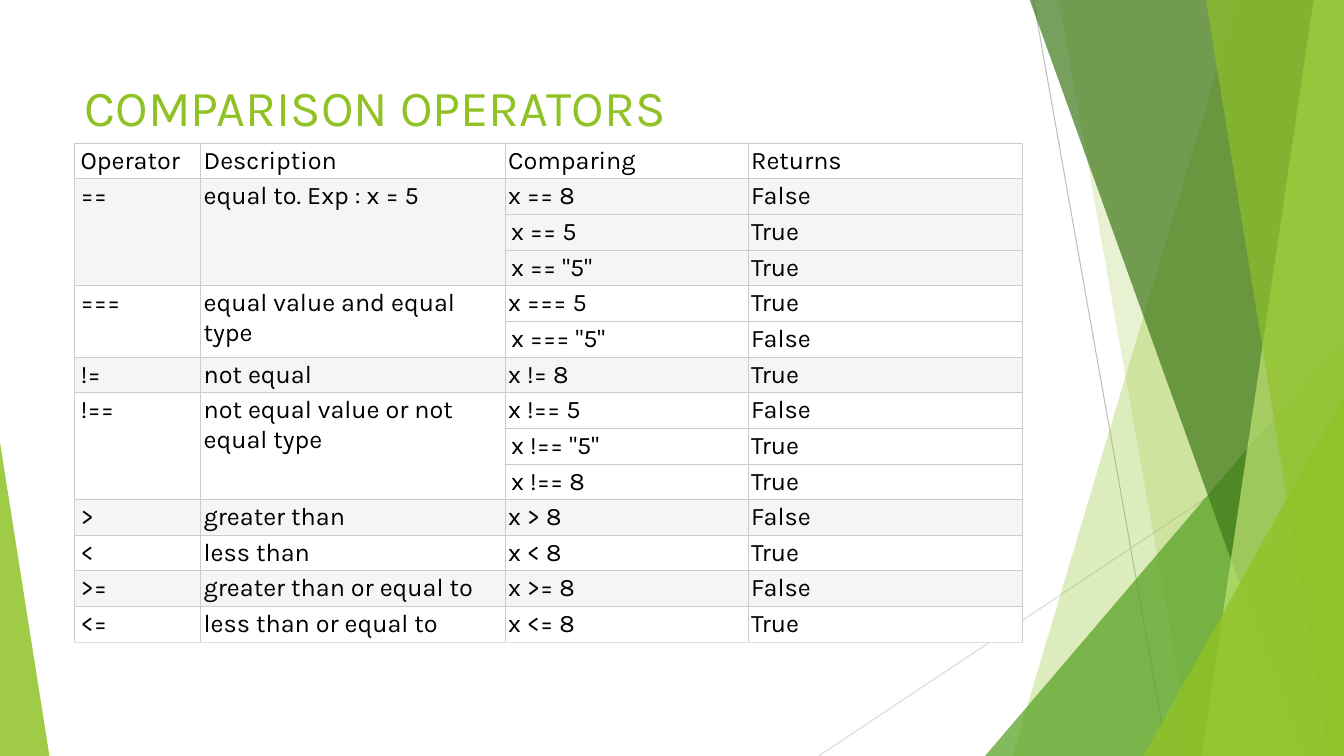
from lxml.etree import SubElement
from pptx import Presentation
from pptx.dml.color import RGBColor
from pptx.enum.shapes import MSO_CONNECTOR as Connector, MSO_SHAPE as Preset
from pptx.enum.text import MSO_ANCHOR as Anchor, MSO_AUTO_SIZE as AutoSize, PP_ALIGN as Align
from pptx.oxml.ns import qn
from pptx.util import Inches, Pt

WIDTH, HEIGHT = 13.33, 7.5
COLORS = {
    "lime": "90C226", "green": "54A021", "forest": "3F7819", "pale": "C0E474",
    "ray": "BFBFBF", "faint_ray": "D9D9D9", "text": "000000",
    "white": "FFFFFF", "stripe": "F5F5F5", "border": "CCCCCC", "last_border": "DDDDDD",
}

# Each group: operator, description, and its (comparing, returns) rows
OPERATOR_GROUPS = [
    ("Operator", "Description", [("Comparing", "Returns")]),
    ("==", "equal to. Exp : x = 5",
     [("x == 8", "False"), ("x == 5", "True"), ('x == "5"', "True")]),
    ("===", "equal value and equal type", [("x === 5", "True"), ('x === "5"', "False")]),
    ("!=", "not equal", [("x != 8", "True")]),
    ("!==", "not equal value or not equal type",
     [("x !== 5", "False"), ('x !== "5"', "True"), ("x !== 8", "True")]),
    (">", "greater than", [("x > 8", "False")]),
    ("<", "less than", [("x < 8", "True")]),
    (">=", "greater than or equal to", [("x >= 8", "False")]),
    ("<=", "less than or equal to", [("x <= 8", "True")]),
]


class SlideBuilder:
    font_name = "Karla"

    def __init__(self, slide):
        self.slide = slide
        self.shapes = slide.shapes

    def color(self, name):
        return RGBColor.from_string(COLORS[name])

    def style_text(self, paragraph, size, color):
        paragraph.alignment = Align.LEFT
        paragraph.font.name = self.font_name
        paragraph.font.size = Pt(size)
        paragraph.font.color.rgb = self.color(color)

    def paint(self, shape, color, opacity):
        shape.shadow.inherit = False
        shape.line.fill.background()
        shape.fill.solid()
        shape.fill.fore_color.rgb = self.color(color)
        tint = shape.fill._xPr.find(f"{qn('a:solidFill')}/{qn('a:srgbClr')}")
        SubElement(tint, qn("a:alpha"), val=str(opacity * 1000))

    def ray(self, start, end, color):
        ray = self.shapes.add_connector(Connector.STRAIGHT, *map(Inches, start + end))
        ray.line.color.rgb = self.color(color)
        ray.line.width = Pt(0.75)
        SubElement(ray._element.spPr, qn("a:effectLst"))

    def facet(self, top_x, bottom_x, color, opacity):
        """Full-height panel with a slanted left edge, ending at the right slide edge."""
        corners = [(top_x, -0.01), (WIDTH, -0.01), (WIDTH, HEIGHT), (bottom_x, HEIGHT)]
        points = [(Inches(x), Inches(y)) for x, y in corners]
        outline = self.shapes.build_freeform(*points[0])
        outline.add_line_segments(points[1:])
        self.paint(outline.convert_to_shape(), color, opacity)

    def corner(self, left, width, height, apex, color, opacity):
        """Triangle standing on the bottom slide edge."""
        triangle = self.shapes.add_shape(
            Preset.ISOSCELES_TRIANGLE, *map(Inches, (left, HEIGHT - height, width, height)))
        triangle.adjustments[0] = apex
        self.paint(triangle, color, opacity)

    def title(self, text, box):
        title = self.shapes.title
        title.left, title.top, title.width, title.height = map(Inches, box)
        frame = title.text_frame
        frame.text = text
        frame.auto_size = AutoSize.NONE
        frame.vertical_anchor = Anchor.MIDDLE
        self.style_text(frame.paragraphs[0], 36, "lime")
        self.shapes._spTree.append(title._element)  # in front of the backdrop

    def cell(self, cell, text, fill, leading, last):
        cell.margin_left = Inches(0.06 if leading else 0.03)
        cell.margin_right = cell.margin_top = cell.margin_bottom = Inches(0.03)
        cell.vertical_anchor = Anchor.TOP
        properties = cell._tc.get_or_add_tcPr()
        for side in "LRTB":
            border = SubElement(properties, qn(f"a:ln{side}"), w=str(Pt(0.6)))
            tone = "last_border" if last and side == "B" else "border"
            SubElement(SubElement(border, qn("a:solidFill")), qn("a:srgbClr"), val=COLORS[tone])
        cell.fill.solid()
        cell.fill.fore_color.rgb = self.color(fill)
        cell.text = text
        self.style_text(cell.text_frame.paragraphs[0], 18, "text")

    def operator_table(self, groups, left, top, column_widths, row_height):
        row_count = sum(len(examples) for _, _, examples in groups)
        table = self.shapes.add_table(
            row_count, len(column_widths), Inches(left), Inches(top),
            Inches(sum(column_widths)), Inches(row_height * row_count)).table
        table.first_row = table.horz_banding = False
        for column, width in zip(table.columns, column_widths):
            column.width = Inches(width)

        row = 0
        for number, (operator, description, examples) in enumerate(groups):
            fill = "stripe" if number % 2 else "white"
            first = row
            for example in examples:
                opens_group = row == first
                labels = (operator, description) if opens_group else ("", "")
                leading_column = 0 if opens_group else 2
                for column, text in enumerate(labels + example):
                    self.cell(table.cell(row, column), text, fill,
                              column == leading_column, row == row_count - 1)
                row += 1
            if len(examples) > 1:
                for column in (0, 1):
                    table.cell(first, column).merge(table.cell(row - 1, column))


def main():
    deck = Presentation()
    deck.slide_width, deck.slide_height = Inches(WIDTH), Inches(HEIGHT)
    builder = SlideBuilder(deck.slides.add_slide(deck.slide_layouts[5]))

    # Faceted backdrop, back to front
    builder.ray((10.25, 0), (11.58, HEIGHT), "ray")
    builder.ray((WIDTH, 4.03), (8.12, HEIGHT), "faint_ray")
    builder.facet(12.28, 10.04, "lime", 30)
    builder.facet(10.5, 11.83, "lime", 20)
    builder.corner(9.77, 3.56, 4.17, 1, "green", 72)
    builder.facet(10.21, 12.91, "forest", 70)
    builder.facet(13.03, 11.92, "pale", 70)
    builder.facet(11.96, 13.18, "lime", 65)
    builder.corner(11.34, 1.99, 3.57, 1, "lime", 80)
    builder.corner(0, 0.49, 3.11, 0, "lime", 85)

    # Title and table
    builder.title("COMPARISON OPERATORS", (0.74, 0.67, 9.4, 0.76))
    builder.operator_table(OPERATOR_GROUPS, 0.74, 1.42, (1.25, 3.02, 2.41, 2.72), 0.3)

    deck.save("out.pptx")


if __name__ == "__main__":
    main()
